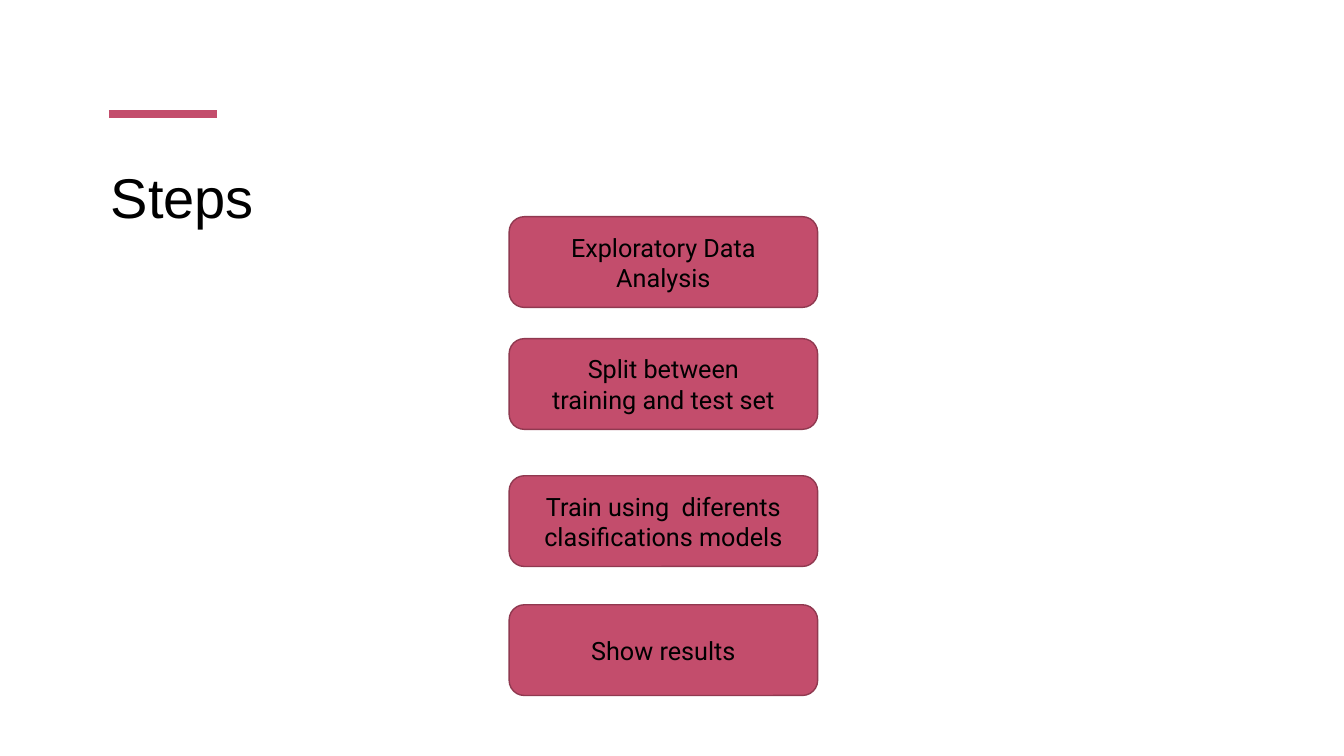
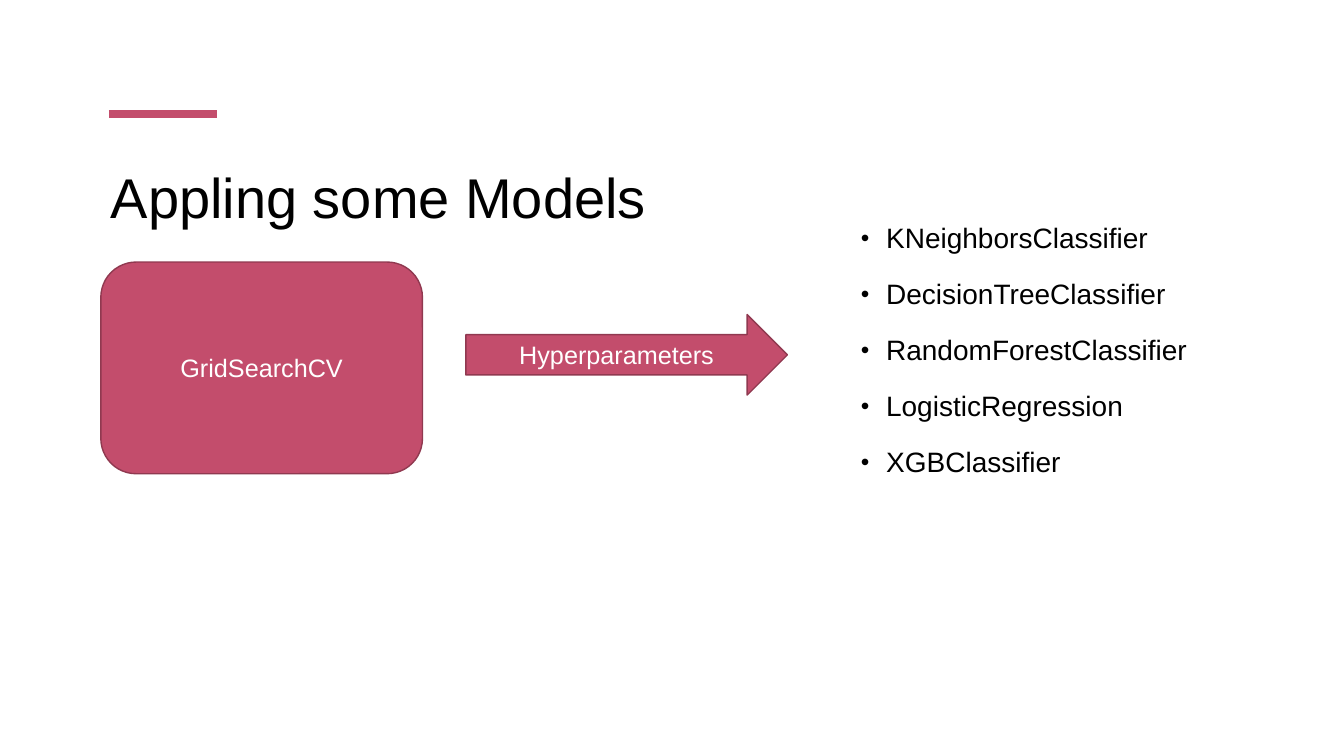
from dataclasses import dataclass

from lxml import etree
from pptx import Presentation
from pptx.dml.color import RGBColor
from pptx.enum.shapes import MSO_CONNECTOR, MSO_SHAPE
from pptx.enum.text import MSO_ANCHOR, PP_ALIGN
from pptx.oxml.ns import qn
from pptx.util import Emu, Pt

ROUNDED, ARROW = MSO_SHAPE.ROUNDED_RECTANGLE, MSO_SHAPE.RIGHT_ARROW
STRAIGHT = MSO_CONNECTOR.STRAIGHT
MIDDLE, BOTTOM = MSO_ANCHOR.MIDDLE, MSO_ANCHOR.BOTTOM
CENTER = PP_ALIGN.CENTER

ROSE = RGBColor(0xC3, 0x4D, 0x6C)
DARK_ROSE = RGBColor(0x90, 0x39, 0x50)
BLACK = RGBColor(0, 0, 0)
WHITE = RGBColor(0xFF, 0xFF, 0xFF)
ARIAL, ROBOTO = "Arial", "Roboto"
EMU_PER_PX = 9144  # 100 px to the inch


@dataclass(frozen=True)
class Block:
    left: int
    top: int
    width: int
    height: int
    text: str
    preset: MSO_SHAPE = ROUNDED
    font: str = ARIAL
    color: RGBColor = WHITE
    anchor: MSO_ANCHOR = MIDDLE


STEPS = [
    (215, "Exploratory Data Analysis"),
    (336, "Split between\ntraining and test set"),
    (472, "Train using  diferents clasifications models"),
    (600, "Show results"),
]
MODELS = [
    "KNeighborsClassifier",
    "DecisionTreeClassifier",
    "RandomForestClassifier",
    "LogisticRegression",
    "XGBClassifier",
]
SEARCH_FLOW = [
    Block(462, 312, 319, 80, "Hyperparameters", preset=ARROW, anchor=BOTTOM),
    Block(100, 260, 319, 210, "GridSearchCV"),
]


def px(*lengths: int) -> list[Emu]:
    return [Emu(length * EMU_PER_PX) for length in lengths]


def style_text(frame, size: int, font: str, color: RGBColor) -> None:
    for paragraph in frame.paragraphs:
        for run in paragraph.runs:
            run.font.size = Pt(size)
            run.font.name = font
            run.font.color.rgb = color


def add_titled_slide(deck, heading: str):
    """Start a slide with the shared accent line and title."""
    slide = deck.slides.add_slide(deck.slide_layouts[6])
    accent = slide.shapes.add_connector(STRAIGHT, *px(108, 113, 215, 113))
    accent.line.color.rgb = ROSE
    accent.line.width = Pt(6)
    etree.SubElement(accent._element.spPr, qn("a:effectLst"))

    title = slide.shapes.add_textbox(*px(100, 150, 1133, 144)).text_frame
    title.word_wrap = True
    title.text = heading
    title.paragraphs[0].line_spacing = 1.1
    style_text(title, 40, ARIAL, BLACK)
    return slide


def add_block(slide, block: Block) -> None:
    shape = slide.shapes.add_shape(
        block.preset, *px(block.left, block.top, block.width, block.height))
    shape.shadow.inherit = False
    shape.fill.solid()
    shape.fill.fore_color.rgb = ROSE
    shape.line.color.rgb = DARK_ROSE
    shape.line.width = Pt(1)
    frame = shape.text_frame
    frame.word_wrap = True
    frame.vertical_anchor = block.anchor
    frame.text = block.text
    for paragraph in frame.paragraphs:
        paragraph.alignment = CENTER
    style_text(frame, 18, block.font, block.color)


def add_bullets(slide, entries: list[str]) -> None:
    frame = slide.shapes.add_textbox(*px(844, 206, 376, 338)).text_frame
    frame.word_wrap = True
    frame.text = "\n".join(entries)
    indent = px(25)[0]
    for index, paragraph in enumerate(frame.paragraphs):
        properties = paragraph._p.get_or_add_pPr()
        properties.set("marL", str(indent))
        properties.set("indent", str(-indent))
        etree.SubElement(properties, qn("a:buSzPct"), val="87000")
        etree.SubElement(properties, qn("a:buFont"), typeface=ARIAL)
        etree.SubElement(properties, qn("a:buChar"), char="•")
        paragraph.line_spacing = 1.25
        if index:
            paragraph.space_before = Pt(10)
    style_text(frame, 20, ARIAL, BLACK)


def main() -> None:
    deck = Presentation()
    deck.slide_width, deck.slide_height = px(1333, 750)

    # Project steps
    steps_slide = add_titled_slide(deck, "Steps")
    for top, step in STEPS:
        add_block(steps_slide, Block(505, top, 306, 90, step,
                                     font=ROBOTO, color=BLACK))

    # Grid search over the models
    models_slide = add_titled_slide(deck, "Appling some Models")
    add_bullets(models_slide, MODELS)
    for block in SEARCH_FLOW:
        add_block(models_slide, block)

    deck.save("out.pptx")


if __name__ == "__main__":
    main()
